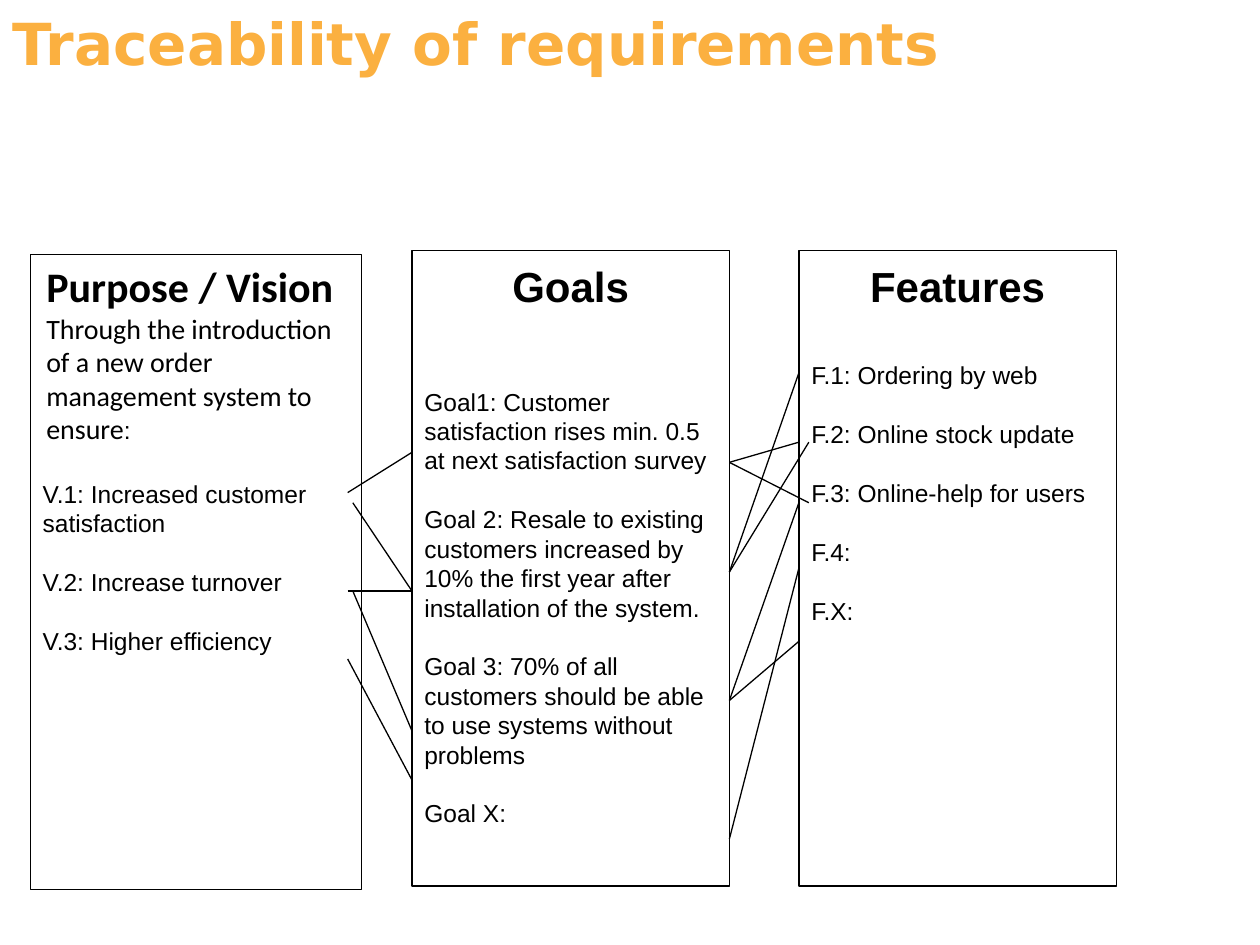
from lxml import etree
from pptx import Presentation
from pptx.dml.color import RGBColor
from pptx.enum.shapes import MSO_CONNECTOR, MSO_SHAPE
from pptx.enum.text import MSO_ANCHOR, PP_ALIGN
from pptx.oxml.ns import qn
from pptx.util import Pt

BLACK = RGBColor(0x00, 0x00, 0x00)
WHITE = RGBColor(0xFF, 0xFF, 0xFF)
ORANGE = RGBColor(0xFB, 0xB0, 0x40)
RECT = MSO_SHAPE.RECTANGLE
LINE = MSO_CONNECTOR.STRAIGHT
LEFT, CENTER = PP_ALIGN.LEFT, PP_ALIGN.CENTER
TOP = MSO_ANCHOR.TOP

WIDE, TALL = 181.4, 363
VISION_X, GOAL_X, FEAT_X = 17.3, 235.4, 456.5
GOAL_END = GOAL_X + WIDE
PITCH = 16.8

VISIONS = [
    "V.1: Increased customer satisfaction",
    "V.2: Increase turnover",
    "V.3: Higher efficiency",
]
GOALS = [
    "Goal1: Customer satisfaction rises min. 0.5 at next satisfaction survey",
    "Goal 2: Resale to existing customers increased by 10% the first year "
    "after installation of the system.",
    "Goal 3: 70% of all customers should be able to use systems without problems",
    "Goal X:",
]
FEATURES = [
    "F.1: Ordering by web",
    "F.2: Online stock update",
    "F.3: Online-help for users",
    "F.4:",
    "F.X:",
]
VISION_LINKS = [
    (198.7, 281.5, 258.5),
    (201.6, 287.3, 337.7),
    (198.7, 337.7, 337.7),
    (201.6, 337.7, 417.6),
    (198.7, 376.6, 445.7),
]
FEAT_LINKS = [
    (400.3, FEAT_X, 287.3),
    (264.2, 462.2, 287.3),
    (264.2, FEAT_X, 252.7),
    (326.9, FEAT_X, 213.1),
    (400.3, FEAT_X, 366.5),
    (479.5, FEAT_X, 324.7),
    (326.9, 462.2, 252.7),
]


def add_run(para, text, size=14, font="Arial", color=BLACK, bold=False):
    run = para.add_run()
    run.text = text
    run.font.size = Pt(size)
    run.font.name = font
    run.font.color.rgb = color
    run.font.bold = bold


def add_text(slide, x, y, w, h):
    frame = slide.shapes.add_textbox(Pt(x), Pt(y), Pt(w), Pt(h)).text_frame
    frame.word_wrap = True
    return frame


def add_list(slide, items, x, y, h):
    frame = add_text(slide, x, y, WIDE, h)
    for i, item in enumerate(items):
        para = frame.add_paragraph() if i else frame.paragraphs[0]
        para.line_spacing = Pt(PITCH)
        para.space_before = Pt(PITCH if i else 0)
        add_run(para, item)


def add_head(slide, text, x):
    para = add_text(slide, x, 145.4, WIDE, 36).paragraphs[0]
    para.alignment = CENTER
    add_run(para, text, size=24, bold=True)


def add_panel(slide, x, y, w):
    box = slide.shapes.add_shape(RECT, Pt(x), Pt(y), Pt(w), Pt(TALL))
    box.shadow.inherit = False
    box.fill.solid()
    box.fill.fore_color.rgb = WHITE
    box.line.color.rgb = BLACK
    box.line.width = Pt(0.75)


def add_link(slide, x1, y1, x2, y2):
    link = slide.shapes.add_connector(LINE, Pt(x1), Pt(y1), Pt(x2), Pt(y2))
    link.line.color.rgb = BLACK
    link.line.width = Pt(0.75)
    etree.SubElement(link._element.spPr, qn("a:effectLst"))


def add_title(slide, text):
    title = slide.shapes.title
    title.left, title.top = Pt(0), Pt(-1.4)
    title.width, title.height = Pt(636.5), Pt(90)
    frame = title.text_frame
    frame.vertical_anchor = TOP
    frame.margin_top = Pt(5.5)
    para = frame.paragraphs[0]
    para.alignment = LEFT
    add_run(para, text, size=33.1, font="DejaVu Sans", color=ORANGE, bold=True)


def add_vision(slide):
    add_panel(slide, VISION_X, 145.4, 189.4)
    add_list(slide, VISIONS, VISION_X, 270, 108.7)
    frame = add_text(slide, 19.4, 145.4, WIDE, 113.8)
    add_run(frame.paragraphs[0], "Purpose / Vision", size=24, font="Calibri", bold=True)
    para = frame.add_paragraph()
    intro = "Through the introduction of a new order management system to ensure"
    add_run(para, intro, size=16, font="Calibri")
    add_run(para, ":")


def add_column(slide, head, items, x, y, h):
    add_panel(slide, x, 143.3, WIDE)
    add_head(slide, head, x)
    add_list(slide, items, x, y, h)


def main():
    deck = Presentation()
    deck.slide_width, deck.slide_height = Pt(720), Pt(540)
    slide = deck.slides.add_slide(deck.slide_layouts[5])
    add_title(slide, "Traceability of requirements")
    add_vision(slide)
    add_column(slide, "Goals", GOALS, GOAL_X, 217.4, 262)
    for x, y, end in VISION_LINKS:
        add_link(slide, x, y, GOAL_X, end)
    add_column(slide, "Features", FEATURES, FEAT_X, 202.3, 159.8)
    for y, x, end in FEAT_LINKS:
        add_link(slide, GOAL_END, y, x, end)
    deck.save("out.pptx")


if __name__ == "__main__":
    main()
